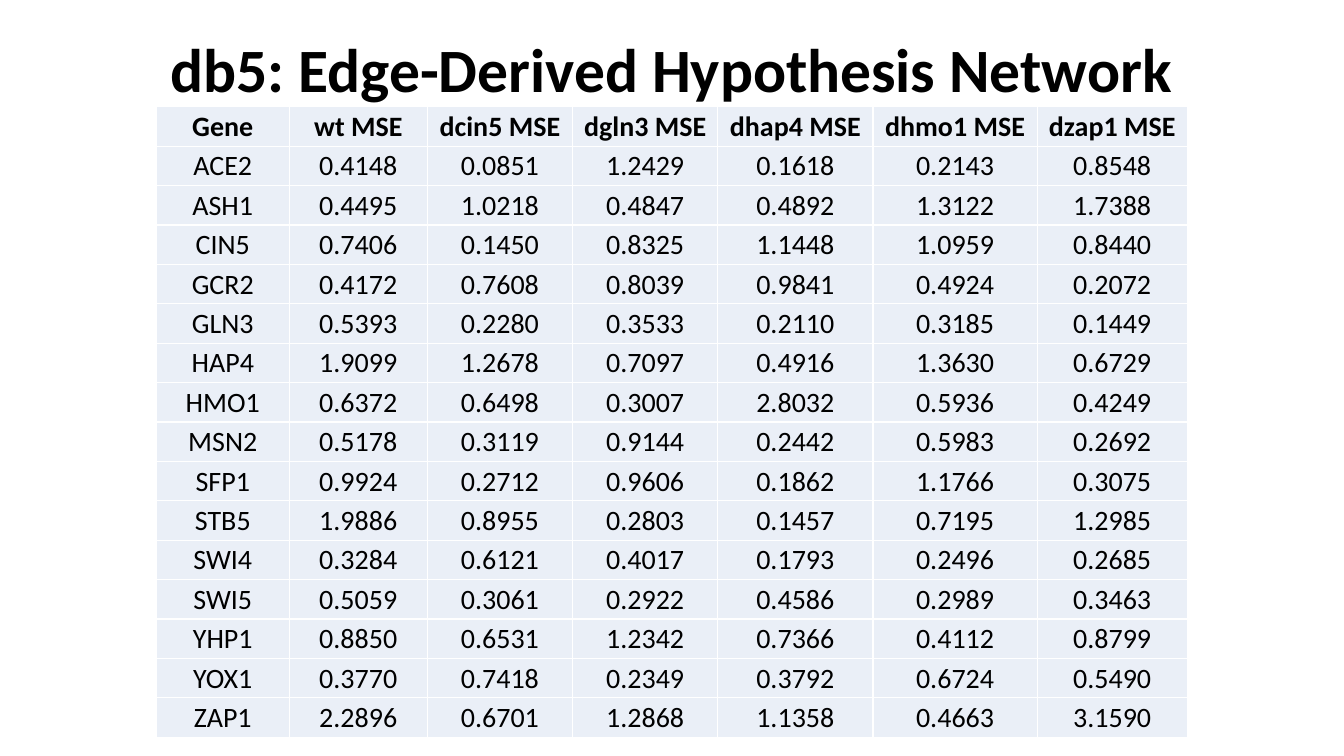
from lxml.etree import SubElement
from pptx import Presentation
from pptx.dml.color import RGBColor
from pptx.enum.text import MSO_ANCHOR, PP_ALIGN
from pptx.oxml.ns import qn
from pptx.util import Cm, Pt

TITLE = "db5: Edge-Derived Hypothesis Network"
HEAD = ("Gene", "wt MSE", "dcin5 MSE", "dgln3 MSE", "dhap4 MSE", "dhmo1 MSE", "dzap1 MSE")
GENES = [
    ("ACE2", 0.4148, 0.0851, 1.2429, 0.1618, 0.2143, 0.8548),
    ("ASH1", 0.4495, 1.0218, 0.4847, 0.4892, 1.3122, 1.7388),
    ("CIN5", 0.7406, 0.1450, 0.8325, 1.1448, 1.0959, 0.8440),
    ("GCR2", 0.4172, 0.7608, 0.8039, 0.9841, 0.4924, 0.2072),
    ("GLN3", 0.5393, 0.2280, 0.3533, 0.2110, 0.3185, 0.1449),
    ("HAP4", 1.9099, 1.2678, 0.7097, 0.4916, 1.3630, 0.6729),
    ("HMO1", 0.6372, 0.6498, 0.3007, 2.8032, 0.5936, 0.4249),
    ("MSN2", 0.5178, 0.3119, 0.9144, 0.2442, 0.5983, 0.2692),
    ("SFP1", 0.9924, 0.2712, 0.9606, 0.1862, 1.1766, 0.3075),
    ("STB5", 1.9886, 0.8955, 0.2803, 0.1457, 0.7195, 1.2985),
    ("SWI4", 0.3284, 0.6121, 0.4017, 0.1793, 0.2496, 0.2685),
    ("SWI5", 0.5059, 0.3061, 0.2922, 0.4586, 0.2989, 0.3463),
    ("YHP1", 0.8850, 0.6531, 1.2342, 0.7366, 0.4112, 0.8799),
    ("YOX1", 0.3770, 0.7418, 0.2349, 0.3792, 0.6724, 0.5490),
    ("ZAP1", 2.2896, 0.6701, 1.2868, 1.1358, 0.4663, 3.1590),
]
WIDTHS = (3.35, 3.48, 3.66, 3.66, 3.91, 4.14, 3.78)

FONT = "Calibri"
BLACK = RGBColor(0, 0, 0)
WHITE = RGBColor(0xFF, 0xFF, 0xFF)
PALE = RGBColor(0xEA, 0xEF, 0xF7)


def write(para, text, size, bold):
    para.text = text
    para.alignment = PP_ALIGN.CENTER
    font = para.font
    font.name, font.size, font.bold = FONT, Pt(size), bold
    font.color.rgb = BLACK


def border(cell):
    props = cell._tc.get_or_add_tcPr()
    for side in ("lnL", "lnR", "lnT", "lnB"):
        line = SubElement(props, qn(f"a:{side}"), w=str(Pt(1)))
        fill = SubElement(line, qn("a:solidFill"))
        SubElement(fill, qn("a:srgbClr"), val=str(WHITE))


def add_title(slide):
    frame = slide.shapes.add_textbox(Cm(2.33), 0, Cm(29.21), Cm(3.68)).text_frame
    frame.word_wrap = True
    frame.vertical_anchor = MSO_ANCHOR.MIDDLE
    para = frame.paragraphs[0]
    write(para, TITLE, 44, True)
    para.line_spacing = 0.9


def add_errors(slide):
    """Add the table of mean squared errors per gene and strain."""
    rows = [HEAD] + [(gene, *(f"{mse:.4f}" for mse in errors)) for gene, *errors in GENES]
    table = slide.shapes.add_table(
        len(rows), len(HEAD), Cm(3.94), Cm(2.69), Cm(sum(WIDTHS)), Cm(15.9)).table
    table.horz_banding = False
    for col, width in zip(table.columns, WIDTHS):
        col.width = Cm(width)
    for r, row in enumerate(rows):
        for c, text in enumerate(row):
            cell = table.cell(r, c)
            border(cell)
            cell.fill.solid()
            cell.fill.fore_color.rgb = PALE
            cell.margin_left = cell.margin_right = cell.margin_top = Cm(0.02)
            cell.margin_bottom = 0
            cell.vertical_anchor = MSO_ANCHOR.MIDDLE
            write(cell.text_frame.paragraphs[0], text, 20, r == 0)


def main():
    deck = Presentation()
    deck.slide_width, deck.slide_height = Cm(33.87), Cm(19.05)
    slide = deck.slides.add_slide(deck.slide_layouts[6])
    add_title(slide)
    add_errors(slide)
    deck.save("out.pptx")


if __name__ == "__main__":
    main()
